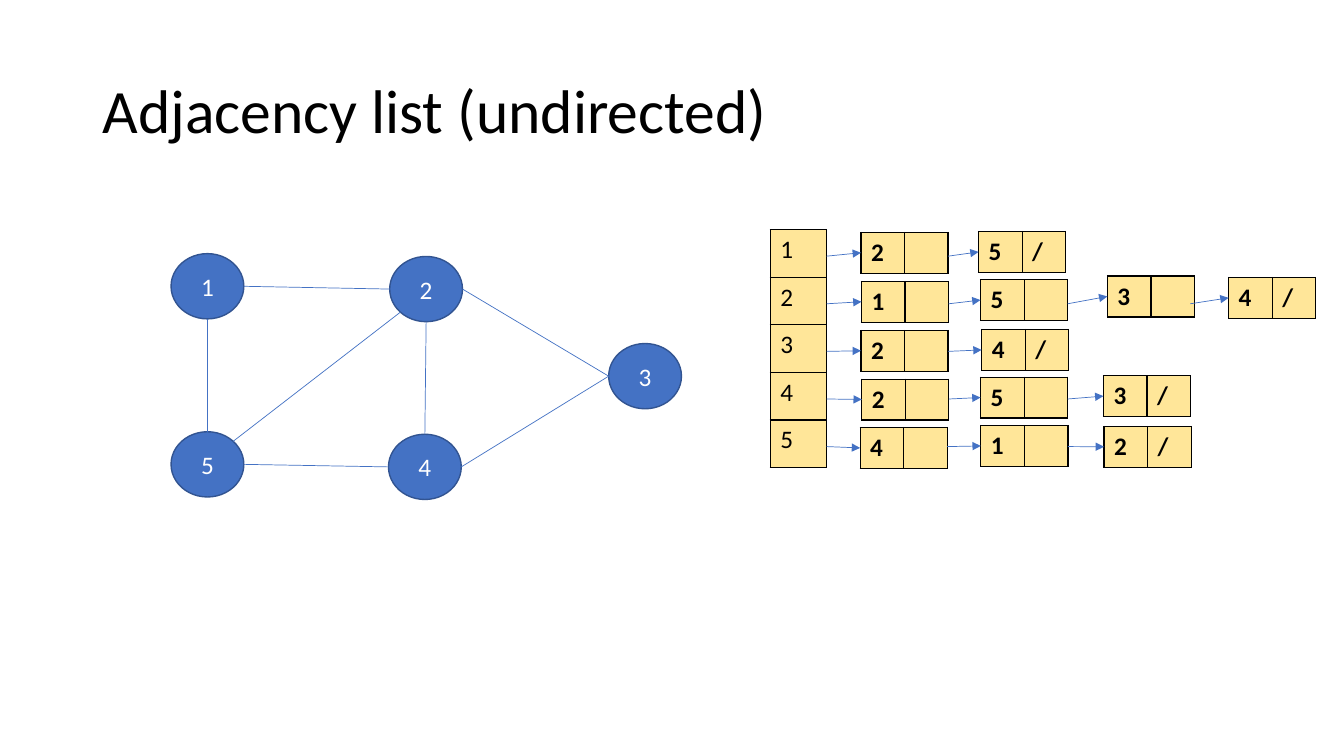
from dataclasses import dataclass
from lxml.etree import SubElement
from pptx import Presentation
from pptx.dml.color import RGBColor
from pptx.enum.shapes import MSO_CONNECTOR, MSO_SHAPE
from pptx.enum.text import MSO_ANCHOR, PP_ALIGN
from pptx.oxml.ns import qn
from pptx.slide import Slide
from pptx.table import Table, _Cell
from pptx.text.text import _Paragraph
from pptx.util import Pt


@dataclass(frozen=True)
class Theme:
    font: str = "Calibri"
    title_size: float = 44
    body_size: float = 18
    black: str = "000000"
    white: str = "FFFFFF"
    blue: str = "4472C4"
    outline: str = "325491"
    yellow: str = "FFE699"
    border_width: float = 1
    link_width: float = 0.5


@dataclass(frozen=True)
class Vertex:
    left: float
    top: float

    def site(self, across: float, down: float) -> tuple[float, float]:
        """Point on the outline in the given direction from the centre."""
        return (self.left + VERTEX_WIDTH / 2 * (1 + across),
                self.top + VERTEX_HEIGHT / 2 * (1 + down))


@dataclass(frozen=True)
class Edge:
    start: str
    start_side: tuple[float, float]
    end: str
    end_side: tuple[float, float]


@dataclass(frozen=True)
class ListNode:
    value: str
    left: float
    top: float
    arrow_inset: float = 0


THEME = Theme()
VERTEX_WIDTH, VERTEX_HEIGHT = 52, 46.6
ARRAY_LEFT, ARRAY_TOP, ARRAY_WIDTH, ARRAY_ROW = 550.2, 164, 40.2, 34
CELL_WIDTH, CELL_HEIGHT = 31.1, 29.1
ARROW_DROP = 2  # arrows leave slightly below the middle of an array row

DIAGONAL = 0.5 ** 0.5
TOP, BOTTOM, LEFT, RIGHT = (0, -1), (0, 1), (-1, 0), (1, 0)
TOP_RIGHT, BOTTOM_LEFT = (DIAGONAL, -DIAGONAL), (-DIAGONAL, DIAGONAL)

VERTICES = {
    "1": Vertex(122.2, 181.2),
    "2": Vertex(278.4, 183.2),
    "5": Vertex(122.2, 308.4),
    "4": Vertex(277.5, 310.2),
    "3": Vertex(434.8, 245.4),
}
EDGES = [
    Edge("1", RIGHT, "2", LEFT),
    Edge("2", BOTTOM, "4", TOP),
    Edge("1", BOTTOM, "5", TOP),
    Edge("5", RIGHT, "4", LEFT),
    Edge("5", TOP_RIGHT, "2", BOTTOM_LEFT),
    Edge("2", RIGHT, "3", LEFT),
    Edge("4", RIGHT, "3", LEFT),
]
ADJACENCY = {
    "1": [ListNode("2", 615, 166), ListNode("5", 699, 165.4)],
    "2": [ListNode("1", 615.4, 201), ListNode("5", 700.4, 199.8),
          ListNode("3", 791, 197.2, arrow_inset=3), ListNode("4", 877.6, 198.2)],
    "3": [ListNode("2", 615, 236), ListNode("4", 701.2, 235.4)],
    "4": [ListNode("2", 615.6, 270.8), ListNode("5", 700.4, 269.4),
          ListNode("3", 788.2, 268.4)],
    "5": [ListNode("4", 614.4, 305.4), ListNode("1", 700.6, 304),
          ListNode("2", 788.6, 304.6)],
}


def color(value: str) -> RGBColor:
    return RGBColor.from_string(value)


def add_text(paragraph: _Paragraph, text: str, text_color: str,
             size: float = THEME.body_size, bold: bool = False) -> None:
    run = paragraph.add_run()
    run.text = text
    run.font.name = THEME.font
    run.font.size = Pt(size)
    run.font.bold = bold
    run.font.color.rgb = color(text_color)


def add_title(slide: Slide, text: str) -> None:
    title = slide.shapes.title
    title.left, title.top, title.width, title.height = Pt(66), Pt(28.8), Pt(828), Pt(104.4)
    title.text_frame.vertical_anchor = MSO_ANCHOR.MIDDLE
    paragraph = title.text_frame.paragraphs[0]
    paragraph.alignment = PP_ALIGN.LEFT
    paragraph.line_spacing = 0.9
    add_text(paragraph, text, THEME.black, THEME.title_size)


def add_vertex(slide: Slide, label: str, vertex: Vertex) -> None:
    shape = slide.shapes.add_shape(MSO_SHAPE.OVAL, Pt(vertex.left), Pt(vertex.top),
                                   Pt(VERTEX_WIDTH), Pt(VERTEX_HEIGHT))
    shape.shadow.inherit = False
    shape.fill.solid()
    shape.fill.fore_color.rgb = color(THEME.blue)
    shape.line.color.rgb = color(THEME.outline)
    shape.line.width = Pt(THEME.border_width)
    shape.text_frame.vertical_anchor = MSO_ANCHOR.MIDDLE
    paragraph = shape.text_frame.paragraphs[0]
    paragraph.alignment = PP_ALIGN.CENTER
    add_text(paragraph, label, THEME.white)


def add_link(slide: Slide, start: tuple[float, float], end: tuple[float, float],
             arrow: bool = False) -> None:
    connector = slide.shapes.add_connector(MSO_CONNECTOR.STRAIGHT,
                                           *(Pt(length) for length in (*start, *end)))
    connector.line.color.rgb = color(THEME.blue)
    connector.line.width = Pt(THEME.link_width)
    properties = connector._element.spPr
    if arrow:
        SubElement(properties.find(qn("a:ln")), qn("a:tailEnd"), type="triangle")
    SubElement(properties, qn("a:effectLst"))


def format_cell(cell: _Cell, text: str, bold: bool) -> None:
    properties = cell._tc.get_or_add_tcPr()
    for side in ("lnL", "lnR", "lnT", "lnB"):
        border = SubElement(properties, qn(f"a:{side}"), w=str(Pt(THEME.border_width)))
        fill = SubElement(border, qn("a:solidFill"))
        SubElement(fill, qn("a:srgbClr"), val=THEME.black)
    cell.fill.solid()
    cell.fill.fore_color.rgb = color(THEME.yellow)
    if text:
        add_text(cell.text_frame.paragraphs[0], text, THEME.black, bold=bold)


def add_cells(slide: Slide, rows: list[list[str]], left: float, top: float,
              cell_width: float, cell_height: float, bold: bool) -> Table:
    columns = len(rows[0])
    table = slide.shapes.add_table(len(rows), columns, Pt(left), Pt(top),
                                   Pt(cell_width * columns),
                                   Pt(cell_height * len(rows))).table
    table.first_row = table.horz_banding = False
    for row_index, row in enumerate(rows):
        for column_index, text in enumerate(row):
            format_cell(table.cell(row_index, column_index), text, bold)
    return table


def add_linked_list(slide: Slide, row: int, nodes: list[ListNode]) -> None:
    arrow_top = ARRAY_TOP + ARRAY_ROW * (row + 0.5) + ARROW_DROP
    arrow_left = ARRAY_LEFT + ARRAY_WIDTH
    for node in nodes:
        pointer = "/" if node is nodes[-1] else ""
        add_cells(slide, [[node.value, pointer]], node.left, node.top,
                  CELL_WIDTH, CELL_HEIGHT, bold=True)
        add_link(slide, (arrow_left, arrow_top),
                 (node.left, node.top + CELL_HEIGHT / 2), arrow=True)
        arrow_left = node.left + 2 * CELL_WIDTH - node.arrow_inset


def main() -> None:
    presentation = Presentation()
    presentation.slide_width, presentation.slide_height = Pt(960), Pt(540)
    slide = presentation.slides.add_slide(presentation.slide_layouts[5])
    add_title(slide, "Adjacency list (undirected)")

    # Graph
    for label, vertex in VERTICES.items():
        add_vertex(slide, label, vertex)
    for edge in EDGES:
        add_link(slide, VERTICES[edge.start].site(*edge.start_side),
                 VERTICES[edge.end].site(*edge.end_side))

    # Vertex array and its linked lists
    add_cells(slide, [[label] for label in ADJACENCY], ARRAY_LEFT, ARRAY_TOP,
              ARRAY_WIDTH, ARRAY_ROW, bold=False)
    for row, nodes in enumerate(ADJACENCY.values()):
        add_linked_list(slide, row, nodes)

    presentation.save("out.pptx")


if __name__ == "__main__":
    main()
